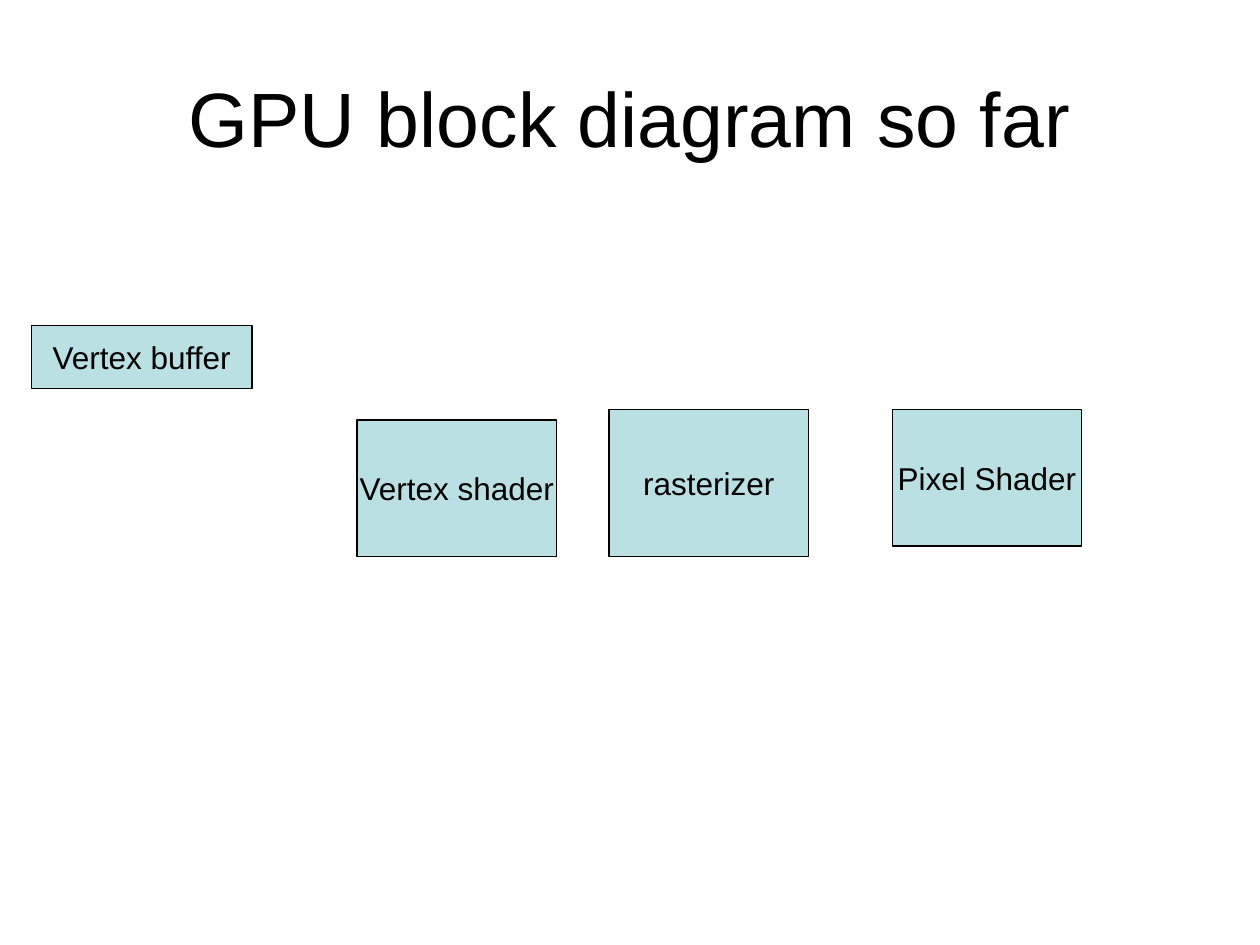
from dataclasses import dataclass

from pptx import Presentation
from pptx.dml.color import RGBColor
from pptx.enum.shapes import MSO_SHAPE
from pptx.enum.text import MSO_ANCHOR, PP_ALIGN
from pptx.util import Pt


@dataclass(frozen=True)
class Theme:
    font: str = "Arial"
    ink: RGBColor = RGBColor(0x00, 0x00, 0x00)
    block: RGBColor = RGBColor(0xBB, 0xE0, 0xE3)
    paper: RGBColor = RGBColor(0xFF, 0xFF, 0xFF)
    title_size: int = 44
    label_size: int = 18
    line_width: float = 0.75


THEME = Theme()


def set_attrs(obj, values):
    for name, value in values.items():
        setattr(obj, name, value)


def place(sp, box):
    set_attrs(sp, dict(zip(("left", "top", "width", "height"), map(Pt, box))))


def write(sp, text, size, wrap):
    tf = sp.text_frame
    set_attrs(tf, {
        "word_wrap": wrap, "vertical_anchor": MSO_ANCHOR.MIDDLE,
        "margin_left": Pt(7.2), "margin_right": Pt(7.2),
        "margin_top": Pt(3.6), "margin_bottom": Pt(3.6),
    })
    p = tf.paragraphs[0]
    p.alignment = PP_ALIGN.CENTER
    r = p.add_run()
    r.text = text
    set_attrs(r.font, {"name": THEME.font, "size": Pt(size)})
    r.font.color.rgb = THEME.ink


def add_title(s, box, text):
    sp = s.shapes.title
    place(sp, box)
    write(sp, text, THEME.title_size, True)


def add_block(s, box, text):
    sp = s.shapes.add_shape(MSO_SHAPE.RECTANGLE, *map(Pt, box))
    sp.shadow.inherit = False
    sp.fill.solid()
    sp.fill.fore_color.rgb = THEME.block
    sp.line.color.rgb = THEME.ink
    sp.line.width = Pt(THEME.line_width)
    write(sp, text, THEME.label_size, False)


def add_pipeline(s, box, blocks):
    left, top = box[:2]
    for text, (x, y, w, h) in blocks.items():
        add_block(s, (left + x, top + y, w, h), text)


def main():
    prs = Presentation()
    set_attrs(prs, {"slide_width": Pt(720), "slide_height": Pt(540)})
    s = prs.slides.add_slide(prs.slide_layouts[5])
    s.background.fill.solid()
    s.background.fill.fore_color.rgb = THEME.paper
    add_title(s, (36, 21.6, 648, 90), "GPU block diagram so far")
    add_pipeline(s, (18, 186, 600, 132), {
        "Vertex shader": (186, 54, 114, 78),
        "rasterizer": (330, 48, 114, 84),
        "Pixel Shader": (492, 48, 108, 78),
        "Vertex buffer": (0, 0, 126, 36),
    })
    prs.save("out.pptx")


if __name__ == "__main__":
    main()
